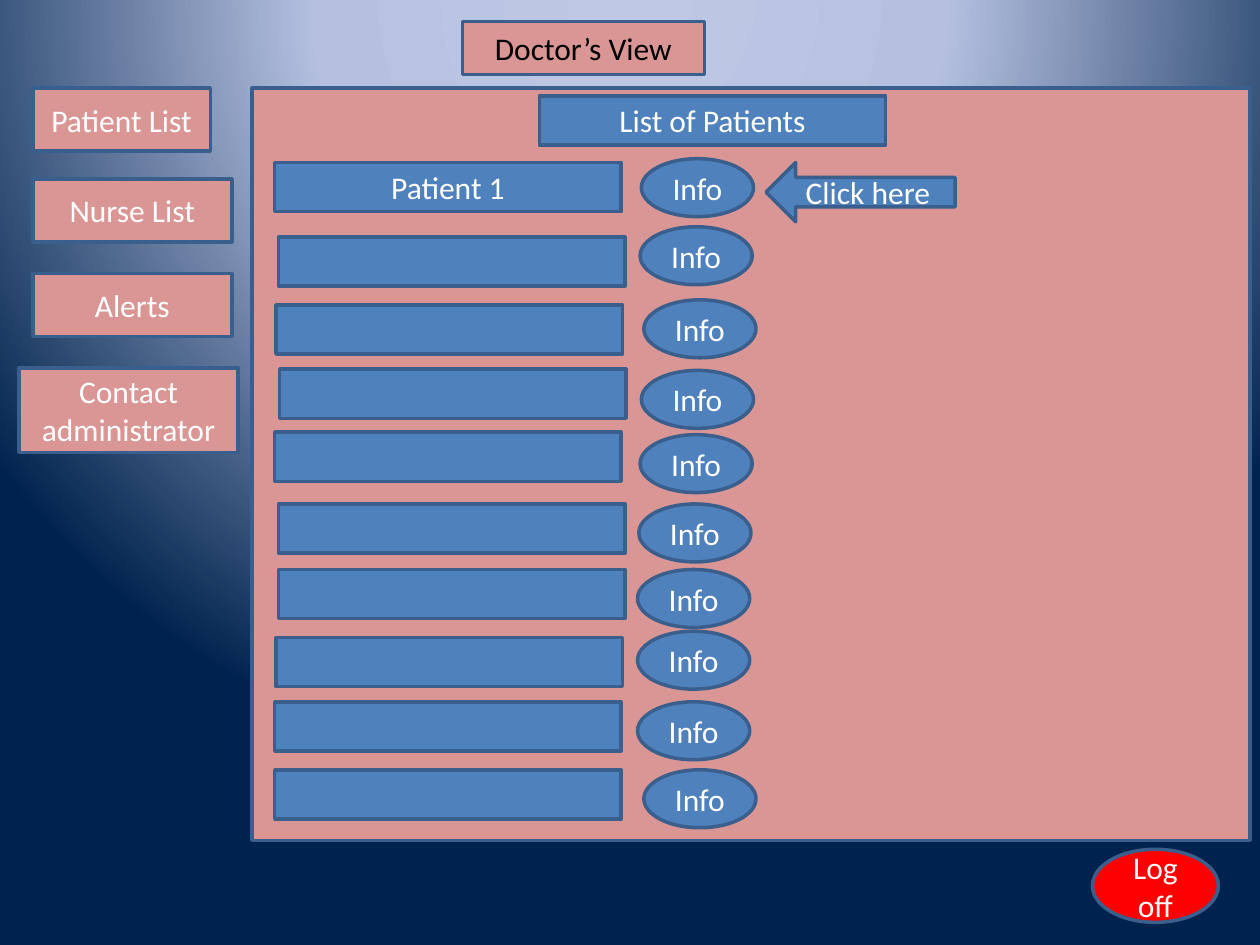
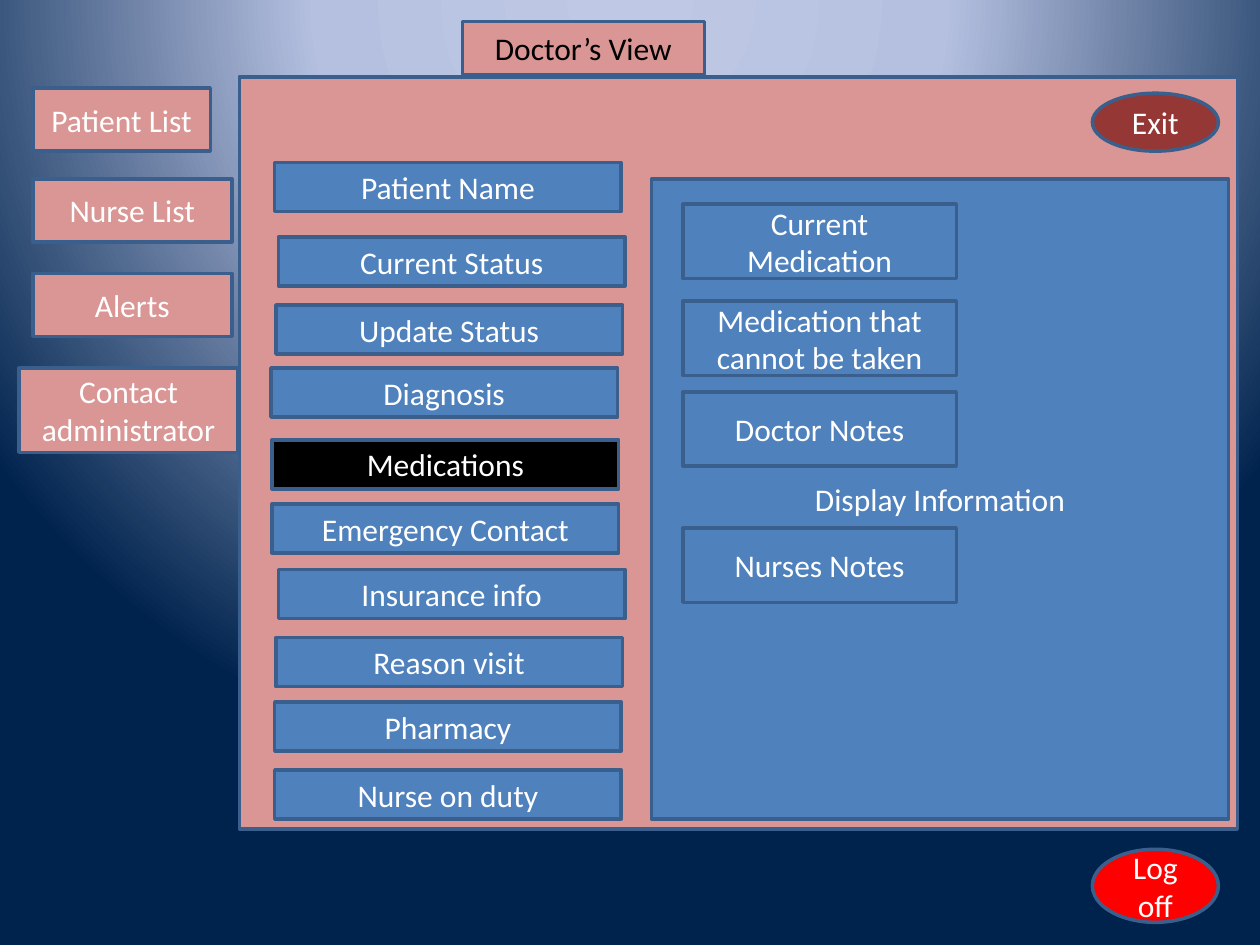
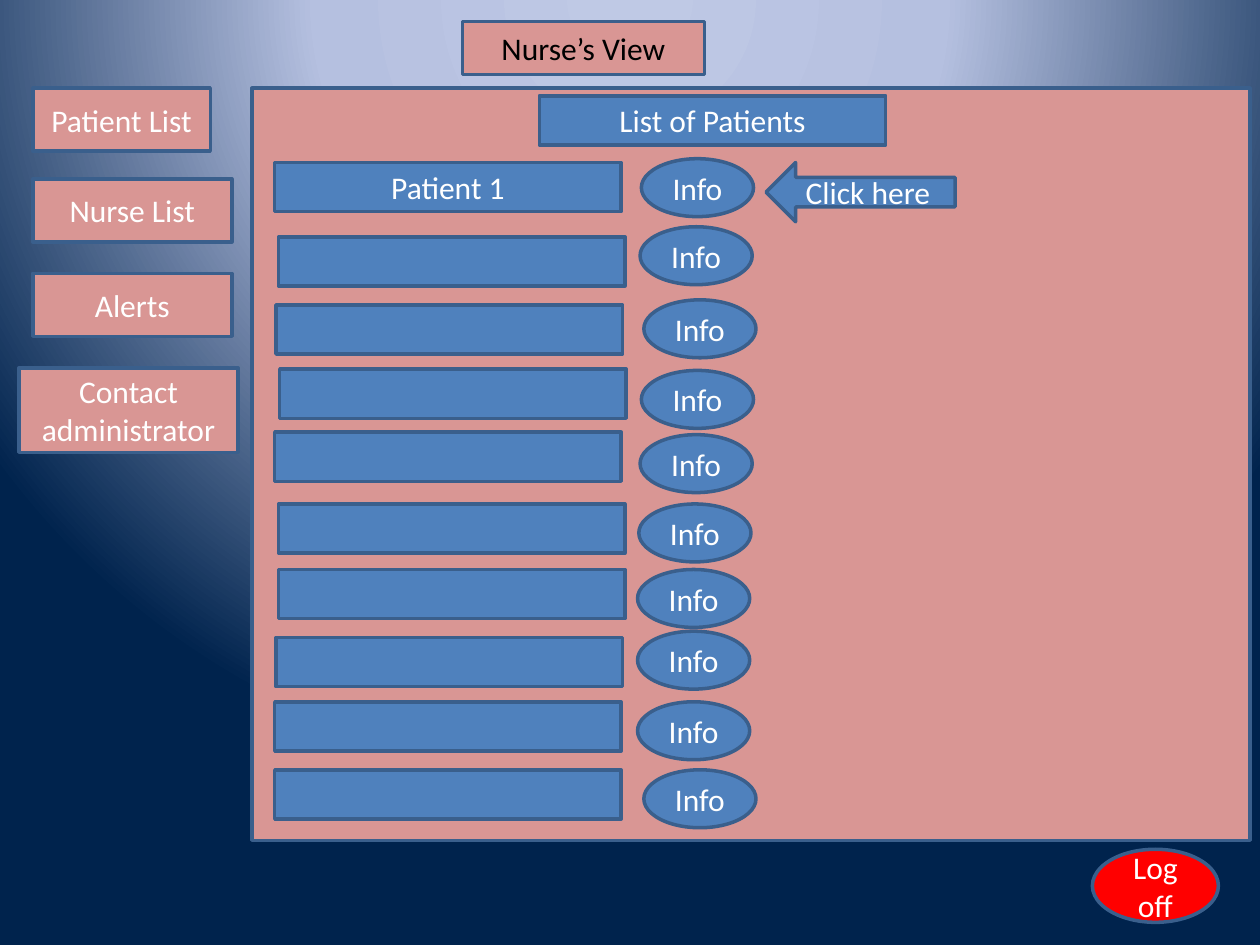
from pptx import Presentation
from pptx.dml.color import RGBColor
from pptx.enum.shapes import MSO_SHAPE as Kind
from pptx.enum.text import MSO_ANCHOR as Anchor, MSO_AUTO_SIZE as Fit, PP_ALIGN as Align
from pptx.oxml import parse_xml
from pptx.util import Inches, Pt

PINK, BLUE, EDGE = "D99694", "4F81BD", "3A5F8C"
WHITE, BLACK, RED, WINE = "FFFFFF", "000000", "FF0000", "953735"
STOPS = [(0, "BFC9E5"), (40, "B5C0E0"), (100, "00234D")]
WIDE, HIGH = Inches(10), Inches(7.5)
COLS, ROWS = 1000, 750
BAR, OVAL = (275, 39), (89, 46)
MENU = [
    ("Patient List", (26, 70, 141, 50)),
    ("Nurse List", (26, 142, 158, 50)),
    ("Alerts", (26, 217, 158, 50)),
    ("Contact administrator", (15, 292, 174, 67)),
]
SLOTS = [(0, 0), (3, 59), (1, 113), (4, 164), (0, 214),
         (3, 271), (3, 323), (1, 377), (0, 428), (0, 482)]
INFO = [(0, 0), (-1, 54), (2, 112), (0, 168), (-1, 219),
        (-2, 274), (-3, 326), (-3, 375), (-3, 431), (2, 485)]
FIELDS = SLOTS[:3] + [(-3, 163), (-2, 220), (-2, 271)] + SLOTS[6:]
NAMES = ["Patient Name", "Current Status", "Update Status", "Diagnosis",
         "Medications", "Emergency Contact", "Insurance info", "Reason visit",
         "Pharmacy", "Nurse on duty"]
NOTES = [("Current Medication", 20), ("Medication that cannot be taken", 97),
         ("Doctor Notes", 169), ("Nurses Notes", 277)]


def tint(code):
    """Turn a hex string into a colour."""
    return RGBColor.from_string(code)


def place(box):
    """Turn grid columns and rows into slide lengths."""
    x, y, w, h = box
    return (WIDE * x // COLS, HIGH * y // ROWS, WIDE * w // COLS, HIGH * h // ROWS)


def write(shape, text, size=18, color=WHITE, font="Calibri"):
    """Write centred text in a shape."""
    frame = shape.text_frame
    frame.word_wrap = True
    frame.auto_size = Fit.NONE
    frame.vertical_anchor = Anchor.MIDDLE
    line = frame.paragraphs[0]
    line.alignment = Align.CENTER
    run = line.add_run()
    run.text = text
    run.font.size = Pt(size)
    run.font.name = font
    run.font.color.rgb = tint(color)


def paint(shape, fill):
    """Give a shape its fill and the shared outline."""
    shape.shadow.inherit = False
    shape.fill.solid()
    shape.fill.fore_color.rgb = tint(fill)
    shape.line.color.rgb = tint(EDGE)
    shape.line.width = Pt(2)


def block(slide, box, text="", fill=BLUE, kind=Kind.RECTANGLE):
    """Add one outlined shape, with text if any."""
    shape = slide.shapes.add_shape(kind, *place(box))
    paint(shape, fill)
    if text:
        write(shape, text)


def stack(slide, start, spots, size, texts, mark="", kind=Kind.RECTANGLE):
    """Add a column of equal shapes set off from a start point."""
    x, y = start
    for (dx, dy), text in zip(spots, texts):
        fill = BLACK if text and text == mark else BLUE
        block(slide, (x + dx, y + dy, *size), text, fill, kind)


def frame(deck, title):
    """Add a slide with its title, menu and exit button."""
    slide = deck.slides.add_slide(deck.slide_layouts[5])
    head = slide.shapes.title
    head.left, head.top, head.width, head.height = place((367, 17, 192, 42))
    paint(head, PINK)
    write(head, title, color=BLACK)
    for text, box in MENU:
        block(slide, box, text, PINK)
    block(slide, (867, 674, 100, 58), "Log off", RED, Kind.OVAL)
    return slide


def roster(slide, box):
    """Fill a panel with the list of patients."""
    x, y = box[:2]
    block(slide, box, fill=PINK)
    block(slide, (x + 228, y + 6, *BAR), "List of Patients")
    stack(slide, (x + 18, y + 59), SLOTS, BAR, ["Patient 1"] + [""] * 9)
    stack(slide, (x + 309, y + 56), INFO, OVAL, ["Info"] * 10, kind=Kind.OVAL)
    block(slide, (x + 408, y + 59, 150, 47), "Click here", kind=Kind.LEFT_ARROW)


def notes(slide, box):
    """Show the notes on medication in a box."""
    x, y = box[:2]
    block(slide, box, "Display Information")
    for text, drop in NOTES:
        block(slide, (x + 25, y + drop, 217, 59), text)


def record(slide, box):
    """Fill a panel with one patient's record."""
    x, y = box[:2]
    block(slide, box, fill=PINK)
    stack(slide, (x + 28, y + 68), FIELDS, BAR, NAMES, mark="Medications")
    notes(slide, (x + 327, y + 81, 458, 508))
    block(slide, (x + 677, y + 13, 100, 46), "Exit", WINE, Kind.OVAL)


def backdrop(master):
    """Give the master its round gradient."""
    stops = "".join(f'<a:gs pos="{at * 1000}"><a:srgbClr val="{code}"/></a:gs>'
                    for at, code in STOPS)
    glow = parse_xml(
        '<a:gradFill xmlns:a="http://schemas.openxmlformats.org/drawingml/2006/main"'
        f' rotWithShape="1"><a:gsLst>{stops}</a:gsLst><a:path path="circle">'
        '<a:fillToRect l="50000" t="-80000" r="50000" b="180000"/></a:path></a:gradFill>')
    master.background.fill.solid()
    back = master.element.xpath("p:cSld/p:bg/p:bgPr")[0]
    back.replace(back[0], glow)


def main():
    """Build and save the three slides."""
    deck = Presentation()
    deck.slide_width, deck.slide_height = WIDE, HIGH
    backdrop(deck.slide_master)
    roster(frame(deck, "Doctor’s View"), (200, 70, 792, 597))
    record(frame(deck, "Doctor’s View"), (190, 61, 792, 597))
    roster(frame(deck, "Nurse’s View"), (200, 70, 792, 597))
    deck.save("out.pptx")


main()
